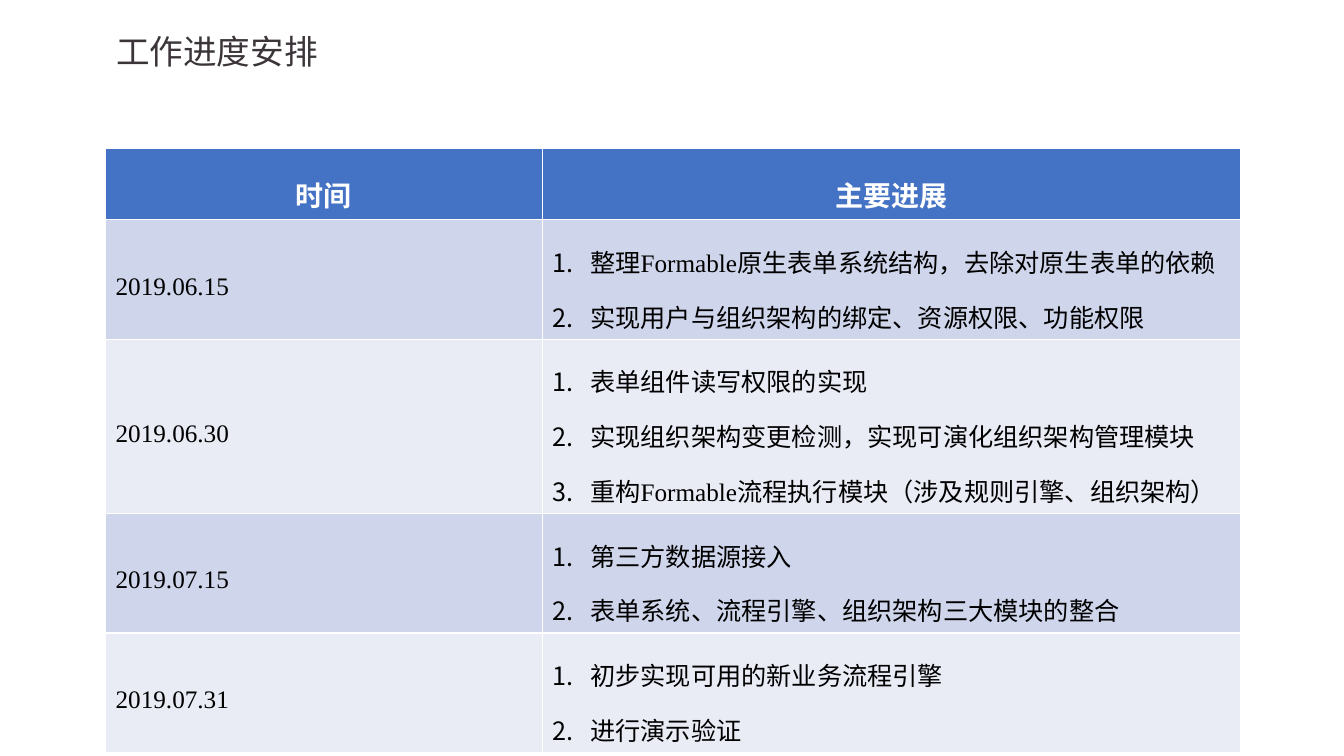
from lxml.etree import SubElement
from pptx import Presentation
from pptx.dml.color import RGBColor
from pptx.enum.text import MSO_ANCHOR, MSO_AUTO_SIZE, PP_ALIGN
from pptx.oxml.ns import qn
from pptx.util import Cm, Pt

CJK_FONT = "Noto Sans CJK SC"
LATIN_FONT = "Times New Roman"
TITLE_COLOR = RGBColor(0x3B, 0x34, 0x39)
HEADER_FILL = RGBColor(0x44, 0x72, 0xC4)
BAND_FILLS = (RGBColor(0xCF, 0xD5, 0xEA), RGBColor(0xE9, 0xEB, 0xF5))
WHITE = RGBColor(0xFF, 0xFF, 0xFF)
BLACK = RGBColor(0, 0, 0)

HEADINGS = ("时间", "主要进展")
SCHEDULE = (
    ("2019.06.15", ("整理Formable原生表单系统结构，去除对原生表单的依赖",
                    "实现用户与组织架构的绑定、资源权限、功能权限")),
    ("2019.06.30", ("表单组件读写权限的实现",
                    "实现组织架构变更检测，实现可演化组织架构管理模块",
                    "重构Formable流程执行模块（涉及规则引擎、组织架构）")),
    ("2019.07.15", ("第三方数据源接入",
                    "表单系统、流程引擎、组织架构三大模块的整合")),
    ("2019.07.31", ("初步实现可用的新业务流程引擎", "进行演示验证")),
)
DATE_SHARE = 0.385
MIN_ROW_HEIGHT = Cm(1.04)
NUMBER_INDENT = Cm(0.95)


def format_paragraph(p, size, color, latin, spacing, bold=False):
    p.line_spacing = spacing
    font = p.font
    font.size, font.bold, font.name = Pt(size), bold, latin
    font.color.rgb = color
    props = p._p.pPr.find(qn("a:defRPr"))
    SubElement(props, qn("a:ea"), typeface=CJK_FONT)


def number_paragraph(p):
    """Give the paragraph a hanging automatic number, "1." style."""
    props = p._p.get_or_add_pPr()
    props.set("marL", str(NUMBER_INDENT))
    props.set("indent", str(-NUMBER_INDENT))
    SubElement(props, qn("a:buFont"), typeface=CJK_FONT)
    SubElement(props, qn("a:buAutoNum"), type="arabicPeriod")


def add_title(slide, left, top, width, height):
    title = slide.shapes.title
    title.left, title.top, title.width, title.height = left, top, width, height
    tf = title.text_frame
    tf.text = "工作进度安排"
    tf.auto_size = MSO_AUTO_SIZE.NONE
    tf.vertical_anchor = MSO_ANCHOR.MIDDLE
    p = tf.paragraphs[0]
    p.alignment = PP_ALIGN.LEFT
    format_paragraph(p, 24, TITLE_COLOR, CJK_FONT, 0.9)


def fill_cell(cell, lines, fill, header=False, numbered=False):
    cell.fill.solid()
    cell.fill.fore_color.rgb = fill
    cell.vertical_anchor = MSO_ANCHOR.TOP if header else MSO_ANCHOR.MIDDLE
    cell.text = "\n".join(lines)
    for p in cell.text_frame.paragraphs:
        p.line_spacing = 1.5
        if numbered:
            number_paragraph(p)
        if header:
            p.alignment = PP_ALIGN.CENTER
            format_paragraph(p, 20, WHITE, LATIN_FONT, 1.5, bold=True)
        else:
            format_paragraph(p, 18, BLACK, LATIN_FONT, 1.5)


def add_schedule(slide, left, top, width, height):
    frame = slide.shapes.add_table(len(SCHEDULE) + 1, len(HEADINGS),
                                   left, top, width, height)
    table = frame.table
    date_width = int(width * DATE_SHARE)
    table.columns[0].width = date_width
    table.columns[1].width = width - date_width
    for row in table.rows:
        row.height = MIN_ROW_HEIGHT
    frame.height = height  # rows grow with their text

    for col, heading in enumerate(HEADINGS):
        fill_cell(table.cell(0, col), [heading], HEADER_FILL, header=True)
    for row, (date, tasks) in enumerate(SCHEDULE, start=1):
        fill = BAND_FILLS[(row - 1) % 2]
        fill_cell(table.cell(row, 0), [date], fill)
        fill_cell(table.cell(row, 1), tasks, fill, numbered=True)


def main():
    prs = Presentation()
    prs.slide_width, prs.slide_height = Cm(33.87), Cm(19.05)
    slide = prs.slides.add_slide(prs.slide_layouts[5])
    add_title(slide, Cm(2.67), Cm(0.58), Cm(19.3), Cm(1.52))
    add_schedule(slide, Cm(2.66), Cm(3.75), Cm(28.6), Cm(12.83))
    prs.save("out.pptx")


if __name__ == "__main__":
    main()
